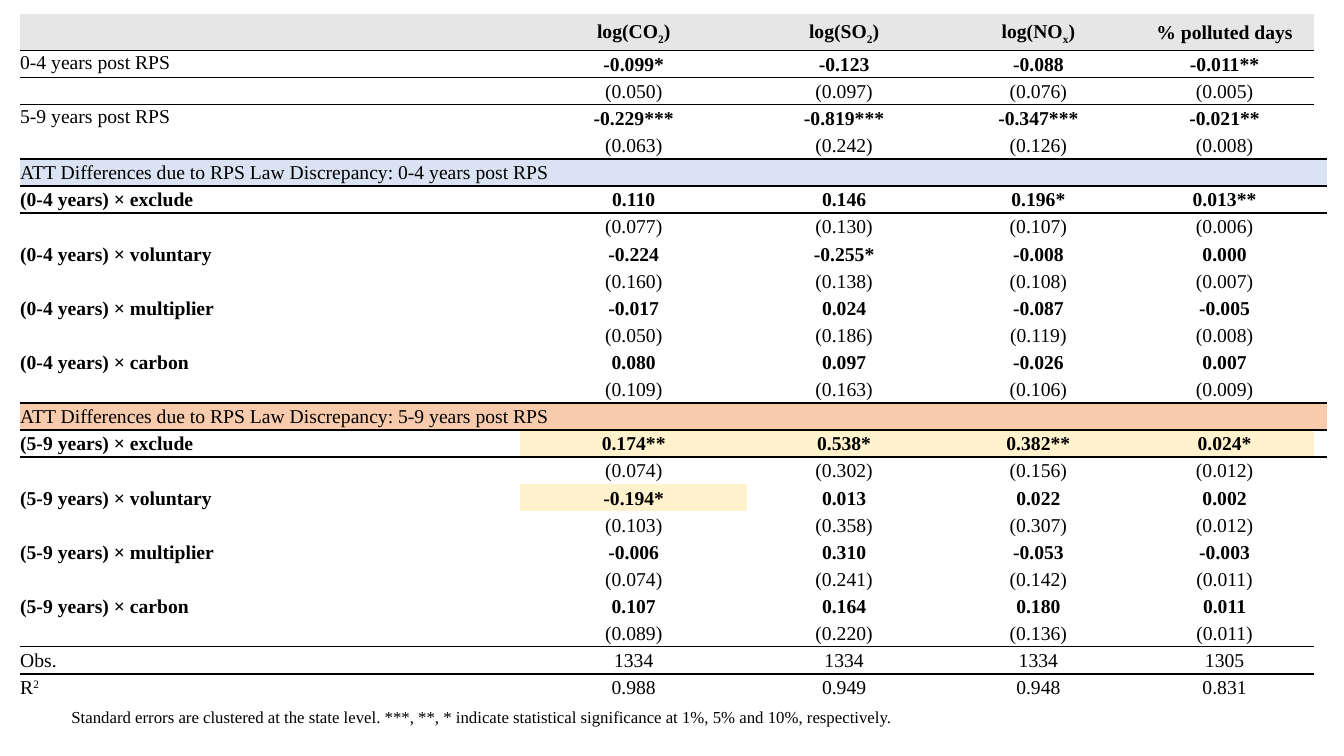
from lxml import etree
from pptx import Presentation
from pptx.dml.color import RGBColor
from pptx.enum.text import MSO_ANCHOR, PP_ALIGN
from pptx.oxml.ns import qn
from pptx.util import Inches, Pt

CENTER, LEFT = PP_ALIGN.CENTER, PP_ALIGN.LEFT
TOP, MIDDLE = MSO_ANCHOR.TOP, MSO_ANCHOR.MIDDLE
FONT = "Times New Roman"
BLACK, GREY, BLUE, ORANGE, YELLOW = "000000", "E7E6E6", "DAE3F3", "F8CBAD", "FFF2CC"
PLAIN_STYLE = "{2D5ABB26-0587-4C30-8999-92F81FD0307C}"

COLUMN_WIDTHS = [4.97, 2.25, 1.93, 1.93, 1.77, 0.13]
HEADER_HEIGHT = 0.36
HEADER = ["", "log(CO|2|)", "log(SO|2|)", "log(NO|x|)", "% polluted days"]
BASE_EFFECTS = [
    ("0-4 years post RPS", "-0.099* -0.123 -0.088 -0.011**", "0.050 0.097 0.076 0.005"),
    ("5-9 years post RPS", "-0.229*** -0.819*** -0.347*** -0.021**", "0.063 0.242 0.126 0.008"),
]
EARLY_EFFECTS = [
    ("(0-4 years) × exclude", "0.110 0.146 0.196* 0.013**", "0.077 0.130 0.107 0.006"),
    ("(0-4 years) × voluntary", "-0.224 -0.255* -0.008 0.000", "0.160 0.138 0.108 0.007"),
    ("(0-4 years) × multiplier", "-0.017 0.024 -0.087 -0.005", "0.050 0.186 0.119 0.008"),
    ("(0-4 years) × carbon", "0.080 0.097 -0.026 0.007", "0.109 0.163 0.106 0.009"),
]
LATE_EFFECTS = [
    ("(5-9 years) × exclude", "0.174** 0.538* 0.382** 0.024*", "0.074 0.302 0.156 0.012"),
    ("(5-9 years) × voluntary", "-0.194* 0.013 0.022 0.002", "0.103 0.358 0.307 0.012"),
    ("(5-9 years) × multiplier", "-0.006 0.310 -0.053 -0.003", "0.074 0.241 0.142 0.011"),
    ("(5-9 years) × carbon", "0.107 0.164 0.180 0.011", "0.089 0.220 0.136 0.011"),
]
SUMMARY = [["Obs.", "1334", "1334", "1334", "1305"],
           ["R|2|", "0.988", "0.949", "0.948", "0.831"]]
BAND_TEXT = "ATT Differences due to RPS Law Discrepancy: {} years post RPS"
NOTE = ("Standard errors are clustered at the state level. ***, **, * indicate "
        "statistical significance at 1%, 5% and 10%, respectively.")

BANDS = {5: BLUE, 14: ORANGE}
HIGHLIGHTS = {(15, 1), (15, 2), (15, 3), (15, 4), (17, 1)}
SUMMARY_START = 23
LAST_COLUMN = len(COLUMN_WIDTHS) - 1
RULES = {0: (1, 5), 1: (1, 5), 4: (1.5, 6), 5: (1.5, 6),
         13: (1.5, 6), 14: (1.5, 6), 22: (1, 5), 23: (1.5, 5)}


def color(value):
    return RGBColor.from_string(value)


def effect_rows(effects):
    rows = []
    for label, estimates, errors in effects:
        rows.append([label, *estimates.split()])
        rows.append(["", *(f"({error})" for error in errors.split())])
    return rows


def table_rows():
    return [HEADER, *effect_rows(BASE_EFFECTS),
            [BAND_TEXT.format("0-4")], *effect_rows(EARLY_EFFECTS),
            [BAND_TEXT.format("5-9")], *effect_rows(LATE_EFFECTS), *SUMMARY]


def add_span(para, text, size, bold=False):
    span = para.add_run()
    span.text = text
    for name, value in {"name": FONT, "size": Pt(size), "bold": bold}.items():
        setattr(span.font, name, value)
    span.font.color.rgb = color(BLACK)
    return span


def write_cell(cell, text, bold, align, anchor, shift):
    margins = dict.fromkeys(("margin_left", "margin_right", "margin_top", "margin_bottom"), 0)
    for name, value in {**margins, "vertical_anchor": anchor}.items():
        setattr(cell, name, value)
    para = cell.text_frame.paragraphs[0]
    for name, value in {"alignment": align, "line_spacing": 1.07}.items():
        setattr(para, name, value)
    for index, part in enumerate(text.split("|")):
        if part:
            span = add_span(para, part, 14, bold)
            if index % 2:
                span.font._element.set("baseline", str(shift * 1000))
    if not text:
        etree.SubElement(para._p, qn("a:endParaRPr"), sz="1400")


def rule_cell(cell, row, column):
    properties = cell._tc.get_or_add_tcPr()
    for edge, boundary in (("a:lnT", row - 1), ("a:lnB", row)):
        weight, reach = RULES.get(boundary, (0, 0))
        if column < reach:
            line = etree.SubElement(properties, qn(edge), w=str(Pt(weight)))
            fill = etree.SubElement(line, qn("a:solidFill"))
            etree.SubElement(fill, qn("a:srgbClr"), val=BLACK)


def fill_cell(cell, row, column):
    shade = BANDS.get(row)
    if row == 0 and column < LAST_COLUMN:
        shade = GREY
    elif (row, column) in HIGHLIGHTS:
        shade = YELLOW
    if shade:
        cell.fill.solid()
        cell.fill.fore_color.rgb = color(shade)
    else:
        cell.fill.background()


def is_bold(text, row, column):
    if column == 0:
        return "×" in text
    return row < SUMMARY_START and not text.startswith("(")


def add_results_table(page, left, top, width, height):
    rows = table_rows()
    frame = page.shapes.add_table(len(rows), len(COLUMN_WIDTHS), Inches(left),
                                  Inches(top), Inches(width), Inches(height))
    table = frame.table
    table.first_row = table.horz_banding = False
    table._tbl.tblPr.find(qn("a:tableStyleId")).text = PLAIN_STYLE
    for column, share in zip(table.columns, COLUMN_WIDTHS):
        column.width = Inches(width * share / sum(COLUMN_WIDTHS))
    body_height = (height - HEADER_HEIGHT) / (len(rows) - 1)
    for row, values in enumerate(rows):
        table.rows[row].height = Inches(body_height if row else HEADER_HEIGHT)
        if row in BANDS:
            table.cell(row, 0).merge(table.cell(row, LAST_COLUMN))
        for column in range(len(COLUMN_WIDTHS)):
            cell = table.cell(row, column)
            text = values[column] if column < len(values) else ""
            write_cell(cell, text, is_bold(text, row, column),
                       CENTER if column else LEFT,
                       TOP if column == 0 and row in (1, 3) else MIDDLE,
                       30 if row else -25)
            rule_cell(cell, row, column)
            fill_cell(cell, row, column)


def add_note(page, left, top, width, height):
    box = page.shapes.add_textbox(Inches(left), Inches(top), Inches(width), Inches(height))
    box.text_frame.word_wrap = True
    add_span(box.text_frame.paragraphs[0], NOTE, 12)


def main():
    deck = Presentation()
    deck.slide_width, deck.slide_height = Inches(13.33), Inches(7.5)
    page = deck.slides.add_slide(deck.slide_layouts[6])
    add_results_table(page, 0.2, 0.14, 12.96, 6.82)
    add_note(page, 0.61, 6.96, 11.65, 0.3)
    deck.save("out.pptx")


if __name__ == "__main__":
    main()
